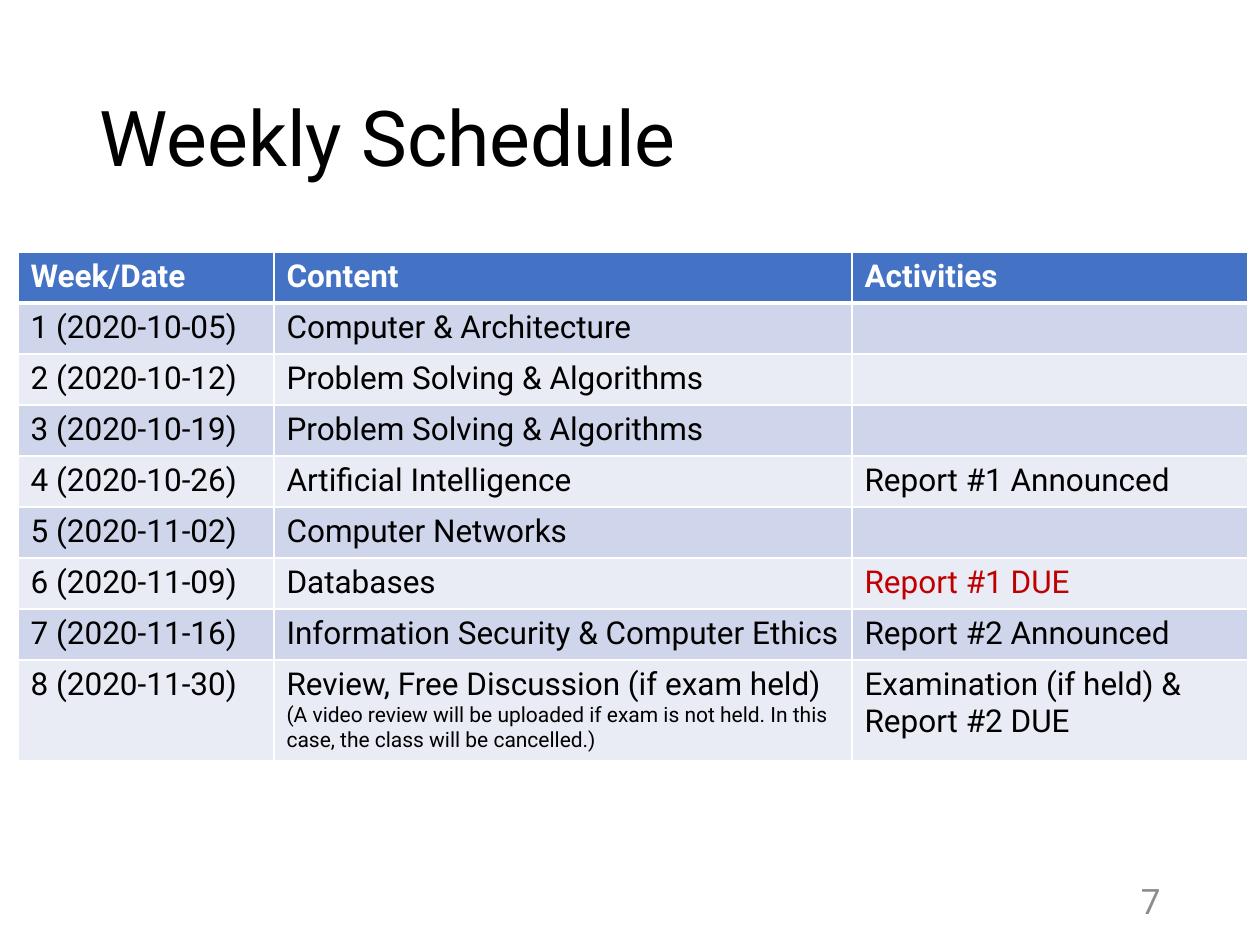
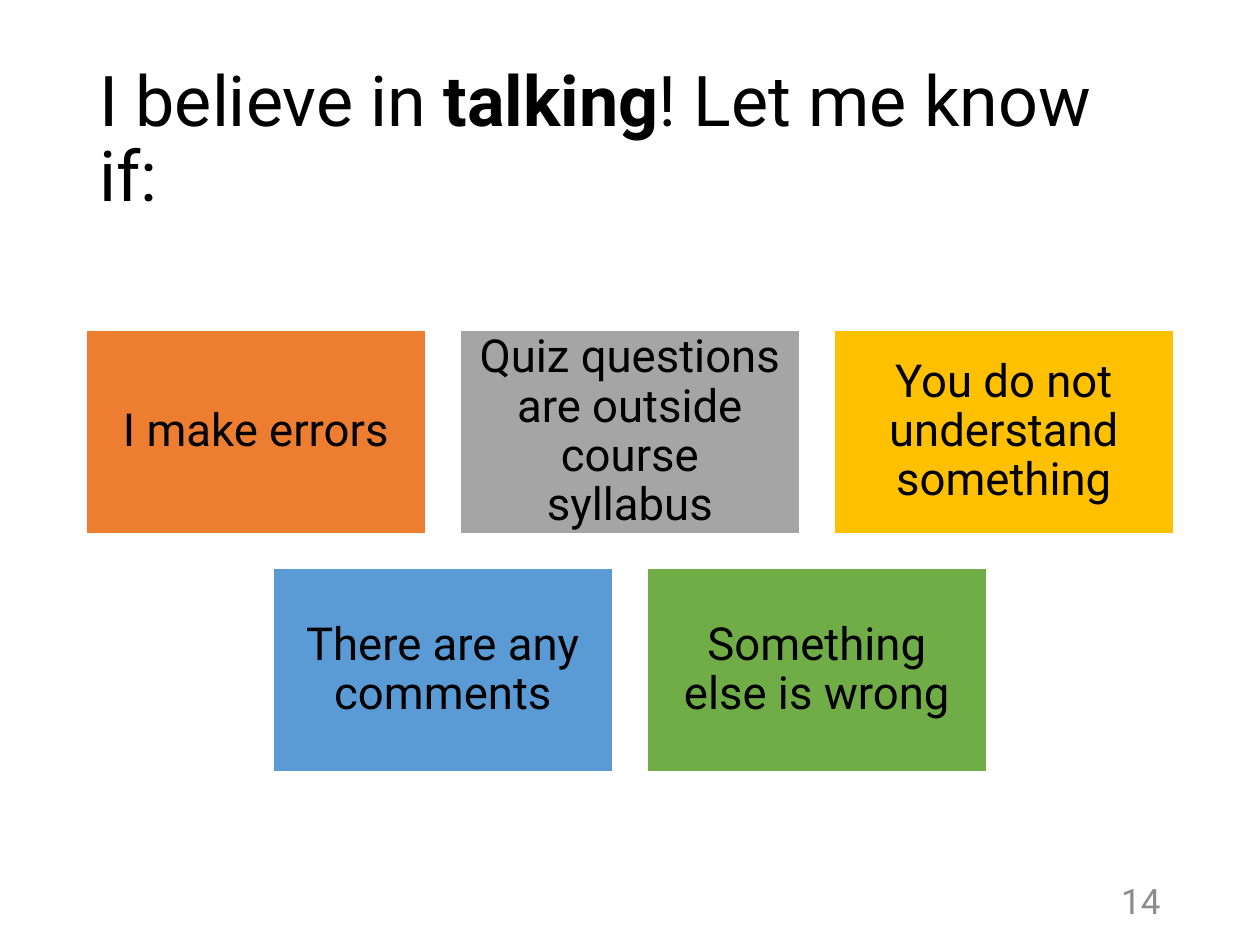
import pptx
import pptx.util
import pptx.dml.color
import pptx.enum.shapes
import pptx.enum.text
import pptx.oxml
import pptx.oxml.ns

FONT = "Roboto"
COLORS = {
    "black": "000000", "white": "FFFFFF", "number": "8C8C8C", "due": "C00000",
    "header": "4472C4", "odd": "CFD5EA", "even": "E9EBF5",
    "orange": "ED7D31", "gray": "A5A5A5", "gold": "FFC000",
    "blue": "5B9BD5", "green": "70AD47",
}
ALIGN = pptx.enum.text.PP_ALIGN
MIDDLE = pptx.enum.text.MSO_ANCHOR.MIDDLE


def px(length):
    return pptx.util.Emu(round(length * 914400 / 126))


def add_span(para, text, size, color="black", bold=False):
    span = para.add_run()
    span.text = text
    span.font.name = FONT
    span.font.size = pptx.util.Pt(size)
    span.font.bold = bold
    span.font.color.rgb = pptx.dml.color.RGBColor.from_string(COLORS[color])


deck = pptx.Presentation()
deck.slide_width = px(1260)
deck.slide_height = px(945)

pages = []
headings = [
    (44, [("Weekly Schedule", False)], "7"),
    (40, [("I believe in ", False), ("talking", True), ("! Let me know if:", False)], "14"),
]
for title_size, title_spans, number in headings:
    page = deck.slides.add_slide(deck.slide_layouts[6])
    pages.append(page)

    title_box = page.shapes.add_textbox(px(87), px(50), px(1086), px(183))
    number_box = page.shapes.add_textbox(px(890), px(876), px(283), px(50))
    for box in (title_box, number_box):
        box.text_frame.word_wrap = True
        box.text_frame.vertical_anchor = MIDDLE

    para = title_box.text_frame.paragraphs[0]
    para.line_spacing = 0.9
    for text, bold in title_spans:
        add_span(para, text, title_size, bold=bold)

    para = number_box.text_frame.paragraphs[0]
    para.alignment = ALIGN.RIGHT
    add_span(para, number, 20, "number")

schedule_page, talking_page = pages

schedule = [
    ("Week/Date", "Content", "Activities"),
    ("1 (2020-10-05)", "Computer & Architecture", ""),
    ("2 (2020-10-12)", "Problem Solving & Algorithms", ""),
    ("3 (2020-10-19)", "Problem Solving & Algorithms", ""),
    ("4 (2020-10-26)", "Artificial Intelligence", "Report #1 Announced"),
    ("5 (2020-11-02)", "Computer Networks", ""),
    ("6 (2020-11-09)", "Databases", "Report #1 DUE"),
    ("7 (2020-11-16)", "Information Security & Computer Ethics", "Report #2 Announced"),
    ("8 (2020-11-30)", "Review, Free Discussion (if exam held)", "Examination (if held) &\nReport #2 DUE"),
]
review_note = "(A video review will be uploaded if exam is not held. In this case, the class will be cancelled.)"
column_widths = [256, 578, 396]
row_heights = [51] * 8 + [98]

table = schedule_page.shapes.add_table(
    len(schedule), len(column_widths), px(18), px(252), px(sum(column_widths)), px(sum(row_heights))
).table
table.horz_banding = False
for column, width in zip(table.columns, column_widths):
    column.width = px(width)
for row, height in zip(table.rows, row_heights):
    row.height = px(height)

for row_index, entries in enumerate(schedule):
    is_header = row_index == 0
    fill = "header" if is_header else ("odd" if row_index % 2 else "even")
    for column_index, entry in enumerate(entries):
        cell = table.cell(row_index, column_index)
        properties = cell._tc.get_or_add_tcPr()
        for side in ("L", "R", "T", "B"):
            under_header = (row_index, side) in ((0, "B"), (1, "T"))
            width = pptx.util.Pt(3 if under_header else 1)
            properties.append(pptx.oxml.parse_xml(
                f'<a:ln{side} {pptx.oxml.ns.nsdecls("a")} w="{width}"><a:solidFill>'
                f'<a:srgbClr val="{COLORS["white"]}"/></a:solidFill></a:ln{side}>'
            ))
        cell.fill.solid()
        cell.fill.fore_color.rgb = pptx.dml.color.RGBColor.from_string(COLORS[fill])

        color = "white" if is_header else ("due" if entry == "Report #1 DUE" else "black")
        para = cell.text_frame.paragraphs[0]
        para.font.size = pptx.util.Pt(18)
        for line_index, line in enumerate(entry.split("\n")):
            if line_index:
                para.add_line_break()
            if line:
                add_span(para, line, 18, color, is_header)

add_span(table.cell(8, 1).text_frame.add_paragraph(), review_note, 12)

card_rows = [
    [("I make errors", "orange"), ("Quiz questions are outside course syllabus", "gray"),
     ("You do not understand something", "gold")],
    [("There are any comments", "blue"), ("Something else is wrong", "green")],
]
card_width, card_height, gap = 340, 204, 34
for row_index, cards in enumerate(card_rows):
    row_width = len(cards) * (card_width + gap) - gap
    left = 630 - row_width // 2
    top = 330 + row_index * (card_height + gap)
    for card_index, (text, color) in enumerate(cards):
        card = talking_page.shapes.add_shape(
            pptx.enum.shapes.MSO_SHAPE.RECTANGLE,
            px(left + card_index * (card_width + gap)), px(top), px(card_width), px(card_height),
        )
        card.shadow.inherit = False
        card.fill.solid()
        card.fill.fore_color.rgb = pptx.dml.color.RGBColor.from_string(COLORS[color])
        card.line.color.rgb = pptx.dml.color.RGBColor.from_string(COLORS["white"])
        card.line.width = pptx.util.Pt(1)
        frame = card.text_frame
        frame.word_wrap = True
        frame.vertical_anchor = MIDDLE
        frame.margin_left = frame.margin_right = frame.margin_top = frame.margin_bottom = px(14)
        para = frame.paragraphs[0]
        para.alignment = ALIGN.CENTER
        para.line_spacing = 0.9
        add_span(para, text, 26)

deck.save("out.pptx")
